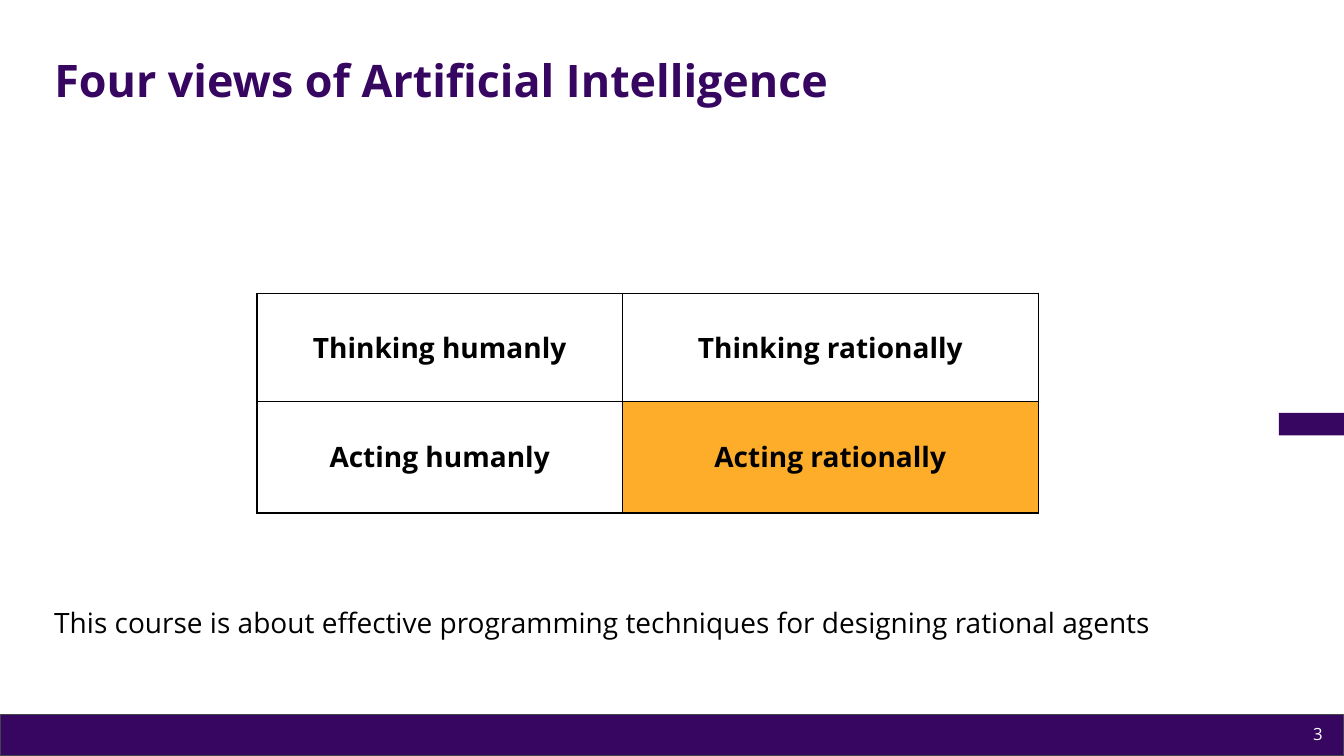
import pptx
import pptx.dml.color
import pptx.enum.shapes
import pptx.enum.text
import pptx.oxml
import pptx.oxml.ns
import pptx.util
from lxml import etree

Pt = pptx.util.Pt
PP_ALIGN = pptx.enum.text.PP_ALIGN
MIDDLE = pptx.enum.text.MSO_ANCHOR.MIDDLE

TITLE = "Four views of Artificial Intelligence"
VIEWS = [
    ["Thinking humanly", "Thinking rationally"],
    ["Acting humanly", "Acting rationally"],
]
COURSE_FOCUS = "Acting rationally"
SUMMARY = "This course is about effective programming techniques for designing rational agents"
PAGE_NUMBER = "3"

THEME = {
    "font": "Open Sans",
    "purple": "370661",
    "footer_line": "43454B",
    "highlight": "FEAD2B",
    "black": "000000",
    "white": "FFFFFF",
    "title_size": 32,
    "body_size": 20,
    "number_size": 12,
}

# Lengths in points: left, top, width, height
SLIDE_W, SLIDE_H = 960, 540
FOOTER_H = 29.5
FOOTER_BOX = (0, SLIDE_H - FOOTER_H, SLIDE_W, FOOTER_H)
TAB_W = 46.5
TAB_BOX = (SLIDE_W - TAB_W, 295, TAB_W, 16)
MARGIN = 31.7
TITLE_BOX = (MARGIN, 28.8, 862.6, 60.5)
SUMMARY_BOX = (MARGIN, 428, 828, 36)
NUMBER_BOX = (736, 510, 216, 28.8)
TABLE_ORIGIN = (183.6, 209.5)
COLUMN_WIDTHS = (261, 297)
ROW_HEIGHTS = (77, 80)


def color(name):
    return pptx.dml.color.RGBColor.from_string(THEME[name])


def style_text(tf, text, size, ink, bold=False, align=PP_ALIGN.LEFT, spacing=None):
    p = tf.paragraphs[0]
    p.text = text
    p.alignment = align
    if spacing:
        p.line_spacing = spacing
    p.font.name = THEME["font"]
    p.font.size = Pt(THEME[size])
    p.font.bold = bold
    p.font.color.rgb = color(ink)


def add_text(s, box, text, size, ink, **style):
    tf = s.shapes.add_textbox(*map(Pt, box)).text_frame
    tf.word_wrap = True
    tf.vertical_anchor = MIDDLE
    style_text(tf, text, size, ink, **style)


def add_bar(s, box, line=None):
    sp = s.shapes.add_shape(pptx.enum.shapes.MSO_SHAPE.RECTANGLE, *map(Pt, box))
    sp.shadow.inherit = False
    sp.fill.solid()
    sp.fill.fore_color.rgb = color("purple")
    if line:
        sp.line.color.rgb = color(line)
        sp.line.width = Pt(0.75)
    else:
        sp.line.fill.background()


def add_borders(cell):
    qn = pptx.oxml.ns.qn
    props = cell._tc.get_or_add_tcPr()
    for side in ("lnL", "lnR", "lnT", "lnB"):
        ln = etree.SubElement(props, qn(f"a:{side}"), w=str(int(Pt(1))))
        fill = etree.SubElement(ln, qn("a:solidFill"))
        etree.SubElement(fill, qn("a:srgbClr"), val=THEME["black"])


def add_views_table(s):
    size = (sum(COLUMN_WIDTHS), sum(ROW_HEIGHTS))
    table = s.shapes.add_table(
        len(ROW_HEIGHTS), len(COLUMN_WIDTHS), *map(Pt, TABLE_ORIGIN + size)
    ).table
    table.first_row = table.horz_banding = False
    for column, width in zip(table.columns, COLUMN_WIDTHS):
        column.width = Pt(width)
    for row, height, views in zip(table.rows, ROW_HEIGHTS, VIEWS):
        row.height = Pt(height)
        for cell, view in zip(row.cells, views):
            cell.vertical_anchor = MIDDLE
            style_text(cell.text_frame, view, "body_size", "black",
                       bold=True, align=PP_ALIGN.CENTER)
            add_borders(cell)
            cell.fill.solid()
            cell.fill.fore_color.rgb = color(
                "highlight" if view == COURSE_FOCUS else "white")


def main():
    prs = pptx.Presentation()
    prs.slide_width, prs.slide_height = Pt(SLIDE_W), Pt(SLIDE_H)
    s = prs.slides.add_slide(prs.slide_layouts[6])
    add_bar(s, FOOTER_BOX, line="footer_line")
    add_bar(s, TAB_BOX)
    add_text(s, TITLE_BOX, TITLE, "title_size", "purple", bold=True, spacing=0.9)
    add_text(s, SUMMARY_BOX, SUMMARY, "body_size", "black", spacing=0.9)
    add_text(s, NUMBER_BOX, PAGE_NUMBER, "number_size", "white", align=PP_ALIGN.RIGHT)
    add_views_table(s)
    prs.save("out.pptx")


if __name__ == "__main__":
    main()
